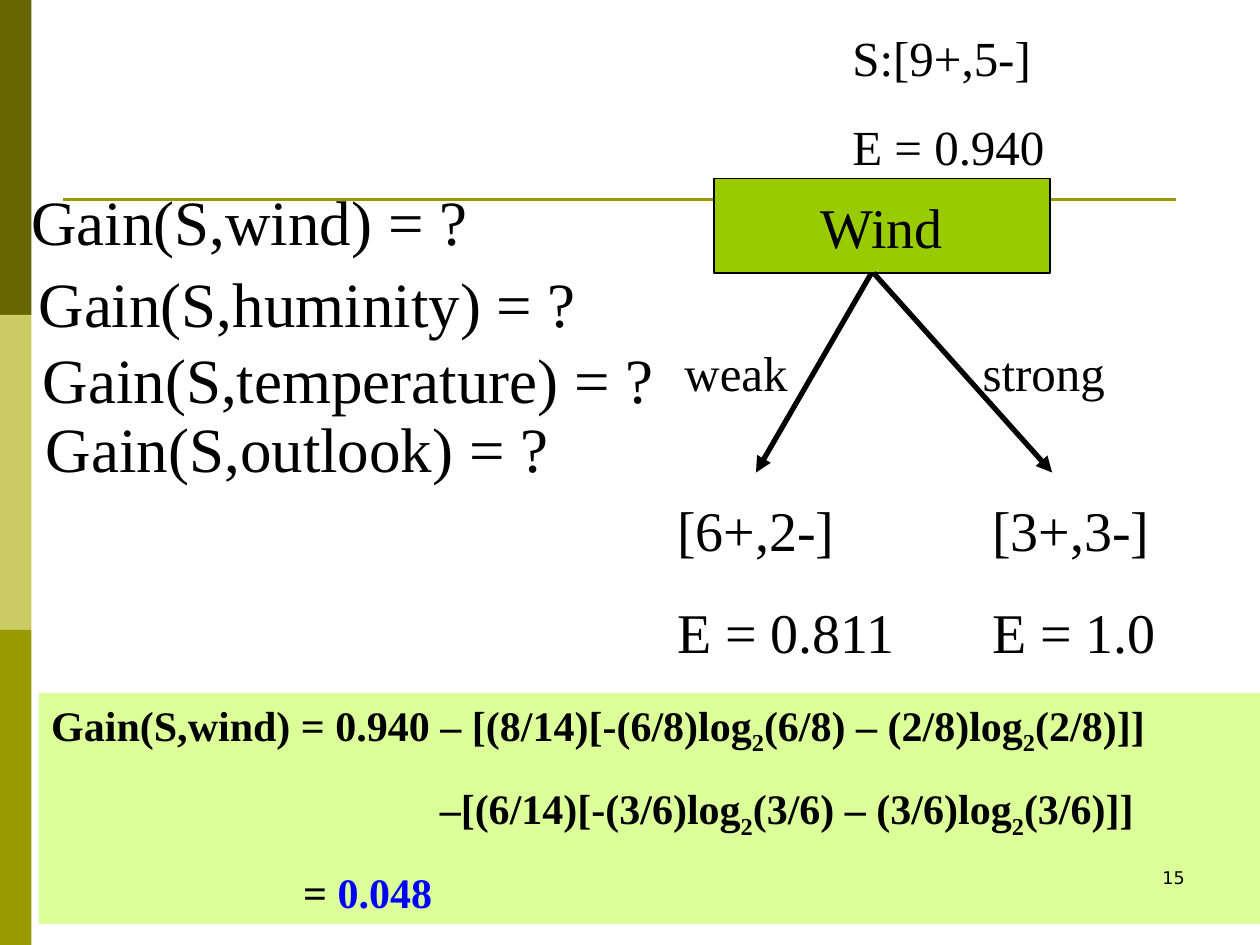
from dataclasses import dataclass

from lxml import etree
from pptx import Presentation
from pptx import util as u
from pptx.dml.color import RGBColor
from pptx.enum import shapes, text
from pptx.oxml import ns

COLORS = {
    "dark olive": "666600", "light olive": "CCCC66", "olive": "999900",
    "node": "99CC00", "formula": "DDFF99", "result": "0000FF", "ink": "000000",
}
SERIF = "Times New Roman"
WIDTH, HEIGHT = u.Inches(10), u.Inches(7.5)
COLUMNS, ROWS = 120, 90


@dataclass(frozen=True)
class Area:
    column: float
    row: float
    columns: float
    rows: float

    def box(self) -> tuple:
        return x(self.column), y(self.row), x(self.columns), y(self.rows)


@dataclass(frozen=True)
class Label:
    content: str
    area: Area
    size: float
    gap: float = 0
    font: str = SERIF
    align: text.PP_ALIGN = text.PP_ALIGN.LEFT
    grow: bool = True


@dataclass(frozen=True)
class Line:
    start: tuple
    end: tuple
    color: str
    width: float
    arrow: bool = False


@dataclass(frozen=True)
class FormulaLine:
    content: str
    indent: float = 0
    result: str = ""


LABELS = [
    Label("Gain(S,wind) = ?", Area(1.8, 16.8, 53, 8.4), 36),
    Label("Gain(S,huminity) = ?", Area(2.5, 24.6, 57.4, 8.4), 36),
    Label("Gain(S,outlook) = ?", Area(3.2, 38.4, 53, 8.4), 36),
    Label("Gain(S,temperature) = ?", Area(2.9, 31.8, 68, 8.4), 36),
    Label("weak", Area(64, 32, 16, 6.8), 28),
    Label("strong", Area(92.4, 32, 23, 6.8), 28),
    Label("[3+,3-]\nE = 1.0", Area(93.3, 46.6, 26, 17.5), 32, 20),
    Label("[6+,2-]\nE = 0.811", Area(63.3, 46.6, 29, 17.5), 32, 20),
    Label("S:[9+,5-]\nE = 0.940", Area(80, 2, 32, 15.4), 28, 17.5),
]
PAGE_NUMBER = Label("15", Area(86, 82, 28, 6), 10, font="DejaVu Sans",
                    align=text.PP_ALIGN.RIGHT, grow=False)
ARROWS = [
    Line((83, 26), (72, 45), "ink", 3, True),
    Line((83.2, 26), (100.2, 45), "ink", 3, True),
]
FORMULA = [
    FormulaLine("Gain(S,wind) = 0.940 – [(8/14)[-(6/8)log2(6/8) – (2/8)log2(2/8)]]"),
    FormulaLine("–[(6/14)[-(3/6)log2(3/6) – (3/6)log2(3/6)]]", 37),
    FormulaLine("= ", 24, "0.048"),
]


def x(columns: float) -> int:
    return round(WIDTH * columns / COLUMNS)


def y(rows: float) -> int:
    return round(HEIGHT * rows / ROWS)


def color(name: str) -> RGBColor:
    return RGBColor.from_string(COLORS[name])


def style(font, size: float, name: str = SERIF, bold: bool = False, ink: str = "ink") -> None:
    font.size, font.name, font.bold = u.Pt(size), name, bold
    font.color.rgb = color(ink)


def add_rectangle(slide, area: Area, fill: str):
    shape = slide.shapes.add_shape(shapes.MSO_SHAPE.RECTANGLE, *area.box())
    shape.shadow.inherit = False
    shape.fill.solid()
    shape.fill.fore_color.rgb = color(fill)
    shape.line.fill.background()
    return shape


def add_line(slide, line: Line) -> None:
    connector = slide.shapes.add_connector(
        shapes.MSO_CONNECTOR.STRAIGHT,
        x(line.start[0]), y(line.start[1]), x(line.end[0]), y(line.end[1]))
    connector.line.color.rgb = color(line.color)
    connector.line.width = u.Pt(line.width)
    if line.arrow:
        etree.SubElement(connector.line._get_or_add_ln(), ns.qn("a:tailEnd"), type="triangle")
    etree.SubElement(connector._element.spPr, ns.qn("a:effectLst"))


def add_label(slide, label: Label) -> None:
    text_frame = slide.shapes.add_textbox(*label.area.box()).text_frame
    text_frame.word_wrap = True
    if label.grow:
        text_frame.auto_size = text.MSO_AUTO_SIZE.SHAPE_TO_FIT_TEXT
    text_frame.text = label.content
    for index, paragraph in enumerate(text_frame.paragraphs):
        paragraph.alignment = label.align
        paragraph.space_before = u.Pt(label.gap if index else 0)
        for run in paragraph.runs:
            style(run.font, label.size, label.font)


def add_node(slide) -> None:
    shape = add_rectangle(slide, Area(68, 17, 32, 9), "node")
    shape.line.color.rgb = color("ink")
    shape.line.width = u.Pt(0.75)
    shape.text_frame.text = "Wind"
    shape.text_frame.word_wrap = False
    shape.text_frame.vertical_anchor = text.MSO_ANCHOR.MIDDLE
    paragraph = shape.text_frame.paragraphs[0]
    paragraph.alignment = text.PP_ALIGN.CENTER
    style(paragraph.runs[0].font, 32)


def add_run(paragraph, content: str, ink: str = "ink", subscript: bool = False) -> None:
    run = paragraph.add_run()
    run.text = content
    style(run.font, 24, bold=True, ink=ink)
    if subscript:
        run.font._element.set("baseline", "-25000")


def add_formula(slide) -> None:
    text_frame = add_rectangle(slide, Area(3.7, 66, 116.3, 22), "formula").text_frame
    text_frame.word_wrap = True
    text_frame.auto_size = text.MSO_AUTO_SIZE.SHAPE_TO_FIT_TEXT
    text_frame.vertical_anchor = text.MSO_ANCHOR.TOP
    for index, line in enumerate(FORMULA):
        paragraph = text_frame.add_paragraph() if index else text_frame.paragraphs[0]
        paragraph.alignment = text.PP_ALIGN.LEFT
        paragraph.space_before = u.Pt(15 if index else 0)
        paragraph._p.get_or_add_pPr().set("marL", str(x(line.indent)))
        *logarithms, ending = line.content.split("log2")
        for part in logarithms:
            add_run(paragraph, part + "log")
            add_run(paragraph, "2", subscript=True)
        add_run(paragraph, ending)
        if line.result:
            add_run(paragraph, line.result, "result")


def main() -> None:
    presentation = Presentation()
    presentation.slide_width, presentation.slide_height = WIDTH, HEIGHT
    slide = presentation.slides.add_slide(presentation.slide_layouts[6])
    band = ROWS / 3
    for index, fill in enumerate(("dark olive", "light olive", "olive")):
        add_rectangle(slide, Area(0, index * band, 3, band), fill)
    add_line(slide, Line((6, 19), (112, 19), "olive", 1.5))
    add_node(slide)
    for arrow in ARROWS:
        add_line(slide, arrow)
    for label in LABELS:
        add_label(slide, label)
    add_formula(slide)
    add_label(slide, PAGE_NUMBER)
    presentation.save("out.pptx")


if __name__ == "__main__":
    main()
